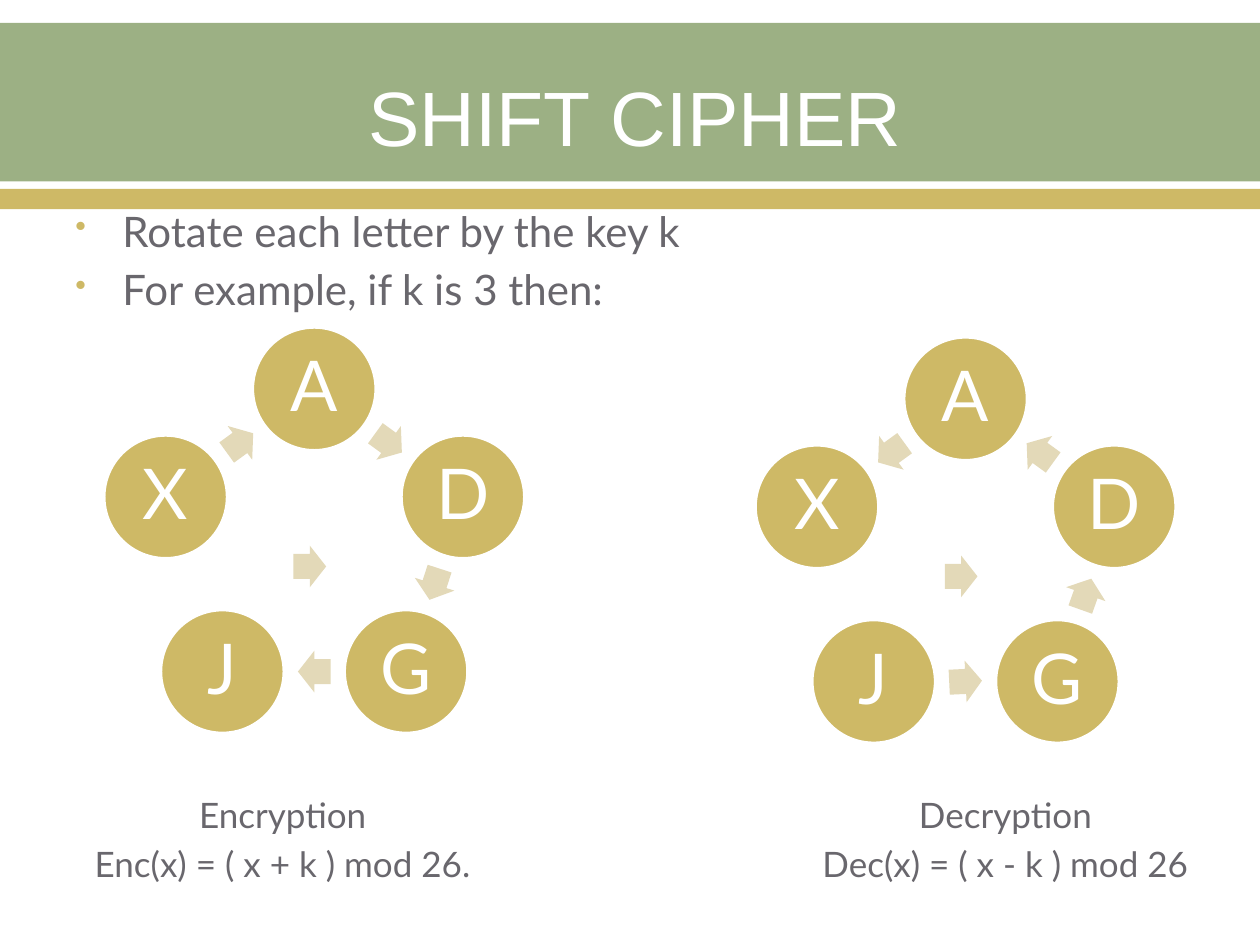
from dataclasses import dataclass
from math import cos, radians, sin

from lxml.etree import SubElement
from pptx import Presentation
from pptx.dml.color import RGBColor
from pptx.enum.shapes import MSO_SHAPE
from pptx.enum.text import MSO_ANCHOR, PP_ALIGN
from pptx.oxml.ns import qn
from pptx.util import Cm, Pt


@dataclass(frozen=True)
class Theme:
    sage: RGBColor = RGBColor(0x9C, 0xB0, 0x84)
    gold: RGBColor = RGBColor(0xCE, 0xB9, 0x66)
    sand: RGBColor = RGBColor(0xE3, 0xD9, 0xB8)
    slate: RGBColor = RGBColor(0x69, 0x67, 0x6D)
    white: RGBColor = RGBColor(0xFF, 0xFF, 0xFF)
    heading_font: str = "Arial"
    body_font: str = "Lato"
    title: Pt = Pt(44)
    letter: Pt = Pt(40)
    bullet: Pt = Pt(24)
    caption: Pt = Pt(20)


THEME = Theme()


def apply_format(target, values):
    for name, value in values.items():
        setattr(target, name, value)


def add_filled(slide, preset, box, color, outline=None):
    part = slide.shapes.add_shape(preset, *map(Cm, box))
    part.shadow.inherit = False
    part.fill.solid()
    part.fill.fore_color.rgb = color
    if outline is None:
        part.line.fill.background()
    else:
        part.line.color.rgb = outline
        part.line.width = Pt(1)
    return part


def write_lines(frame, lines, size, color, font, frame_format, paragraph_format):
    apply_format(frame, {"word_wrap": True, **frame_format})
    for index, line in enumerate(lines):
        paragraph = frame.paragraphs[0] if index == 0 else frame.add_paragraph()
        apply_format(paragraph, paragraph_format)
        run = paragraph.add_run()
        run.text = line
        apply_format(run.font, {"size": size, "name": font})
        run.font.color.rgb = color


def add_bullet(paragraph):
    properties = paragraph._p.get_or_add_pPr()
    properties.set("marL", str(Cm(0.95)))
    properties.set("indent", str(-Cm(0.95)))
    bullet_color = SubElement(properties, qn("a:buClr"))
    SubElement(bullet_color, qn("a:srgbClr"), val=str(THEME.gold))
    SubElement(properties, qn("a:buSzPct"), val="75000")
    SubElement(properties, qn("a:buChar"), char="•")


def draw_header(slide, left, top, width):
    # Title band with a thin stripe below
    add_filled(slide, MSO_SHAPE.RECTANGLE, (left, top, width, 3.2), THEME.sage)
    add_filled(slide, MSO_SHAPE.RECTANGLE, (left, top + 3.35, width, 0.41), THEME.gold)
    title = slide.shapes.add_textbox(*map(Cm, (left + 5.28, top + 0.81, 15.06, 2.11)))
    write_lines(title.text_frame, ["SHIFT CIPHER"], THEME.title, THEME.white,
                THEME.heading_font, {"vertical_anchor": MSO_ANCHOR.BOTTOM},
                {"alignment": PP_ALIGN.CENTER})


def draw_rules(slide, box):
    rules = slide.shapes.add_textbox(*map(Cm, box))
    lines = ["Rotate each letter by the key k", "For example, if k is 3 then:"]
    write_lines(rules.text_frame, lines, THEME.bullet, THEME.slate,
                THEME.body_font, {}, {"space_before": Pt(4.8)})
    for paragraph in rules.text_frame.paragraphs:
        add_bullet(paragraph)


def draw_cycle(slide, left, top, arrow_turns):
    radius, disc = 3.15, 2.46
    arrow_width, arrow_height = 0.66, 0.84
    center_x = left + radius * sin(radians(72)) + disc / 2
    center_y = top + radius + disc / 2
    hubs = [(center_x + radius * sin(radians(72 * step)),
             center_y - radius * cos(radians(72 * step))) for step in range(5)]

    # Letters on a regular pentagon, clockwise from the top
    for letter, (x, y) in zip("ADGJX", hubs):
        node = add_filled(slide, MSO_SHAPE.OVAL,
                          (x - disc / 2, y - disc / 2, disc, disc),
                          THEME.gold, THEME.white)
        margins = {f"margin_{side}": Cm(0.15) for side in ("left", "top", "right", "bottom")}
        write_lines(node.text_frame, [letter], THEME.letter, THEME.white, THEME.body_font,
                    {"vertical_anchor": MSO_ANCHOR.MIDDLE, **margins},
                    {"alignment": PP_ALIGN.CENTER, "line_spacing": 0.9})

    # Arrows halfway between neighbours; the J to X arrow sits near the centre
    spots = [((x1 + x2) / 2, (y1 + y2) / 2)
             for (x1, y1), (x2, y2) in zip(hubs, hubs[1:] + hubs[:1])]
    spots[3] = (center_x - 0.09, center_y + 0.43)
    for (x, y), turn in zip(spots, arrow_turns):
        arrow = add_filled(slide, MSO_SHAPE.RIGHT_ARROW,
                           (x - arrow_width / 2, y - arrow_height / 2,
                            arrow_width, arrow_height), THEME.sand)
        arrow.adjustments[0] = 0.6
        arrow.adjustments[1] = 0.5
        arrow.rotation = turn


def draw_formula(slide, box, lines):
    formula = slide.shapes.add_textbox(*map(Cm, box))
    write_lines(formula.text_frame, lines, THEME.caption, THEME.slate, THEME.body_font,
                {}, {"alignment": PP_ALIGN.CENTER, "space_before": Pt(4)})


def main():
    deck = Presentation()
    deck.slide_width, deck.slide_height = Cm(25.4), Cm(19.05)
    slide = deck.slides.add_slide(deck.slide_layouts[6])

    draw_header(slide, 0, 0.46, 25.4)
    draw_rules(slide, (1.27, 4.01, 22.86, 2.34))

    # Encryption on the left, decryption on the right
    draw_cycle(slide, 2.11, 6.61, (36, 108, 180, 0, 324))
    draw_cycle(slide, 15.24, 6.81, (216, 289.6, 357.3, 0, 144))
    draw_formula(slide, (0.7, 15.88, 10, 2.54),
                 ["Encryption", "Enc(x) = ( x + k ) mod 26."])
    draw_formula(slide, (15.27, 15.88, 10, 2.54),
                 ["Decryption", "Dec(x) = ( x - k ) mod 26"])

    deck.save("out.pptx")


if __name__ == "__main__":
    main()
